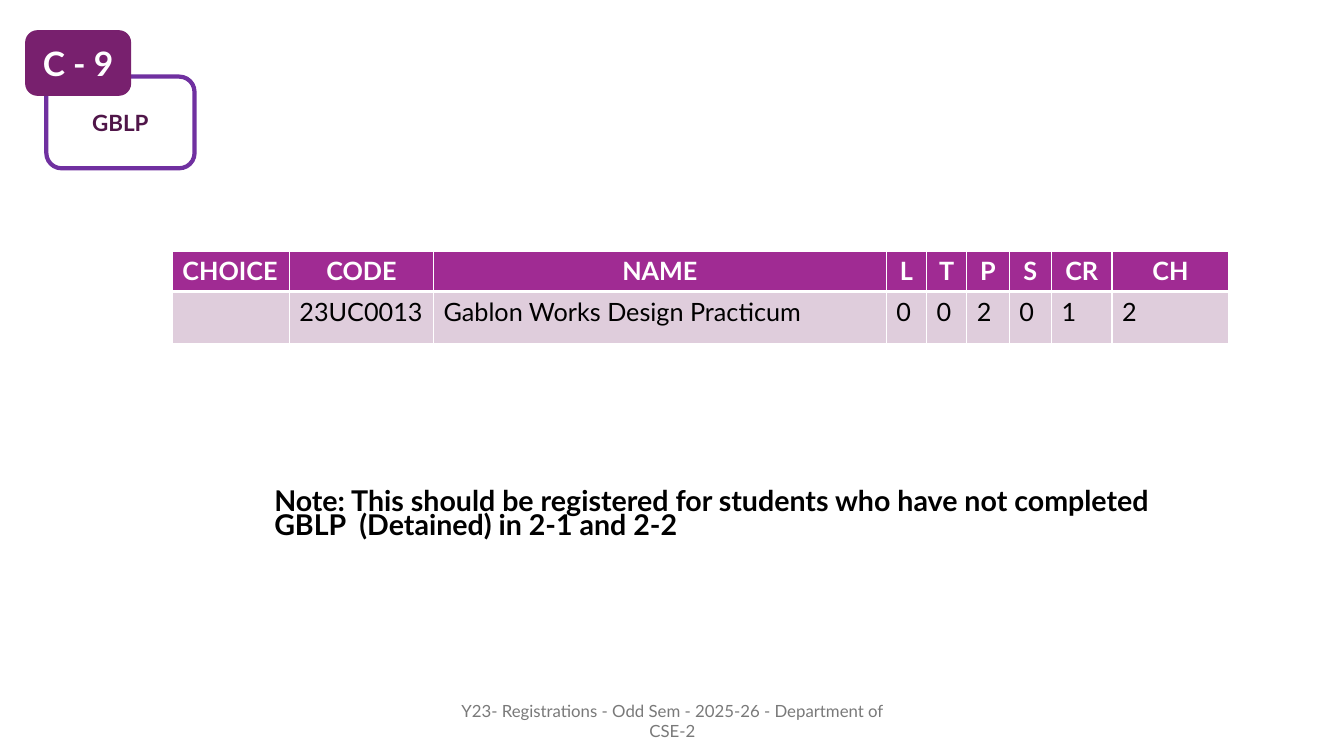
from lxml import etree
from pptx import Presentation
from pptx.dml.color import RGBColor
from pptx.enum.shapes import MSO_SHAPE
from pptx.enum.text import MSO_ANCHOR, MSO_AUTO_SIZE, PP_ALIGN
from pptx.oxml.ns import qn
from pptx.util import Pt

LEFT, CENTER = PP_ALIGN.LEFT, PP_ALIGN.CENTER
MIDDLE, BOTTOM = MSO_ANCHOR.MIDDLE, MSO_ANCHOR.BOTTOM
NO_FIT = MSO_AUTO_SIZE.NONE
ROUND_RECT = MSO_SHAPE.ROUNDED_RECTANGLE
TITLE_ONLY = 5

FONT = "Lato"
PX = 9144  # 100 px to the inch
COLORS = {
    "white": "FFFFFF", "black": "000000", "grey": "797979",
    "outline": "7030A0", "label": "501649", "badge": "78206E",
    "header": "A02B93", "row": "DFCDDC",
}
COLUMNS = [("CHOICE", 116, ""), ("CODE", 143, "23UC0013"),
           ("NAME", 449, "Gablon Works Design Practicum"),
           ("L", 40, "0"), ("T", 40, "0"), ("P", 42, "2"),
           ("S", 42, "0"), ("CR", 60, "1"), ("CH", 116, "2")]
ROW_HEIGHTS = (40, 52)
CELL_MARGIN_RIGHT = 8  # keeps the course code on one line


def px(*lengths):
    return [n * PX for n in lengths]


def rgb(name):
    return RGBColor.from_string(COLORS[name])


def write(tf, text, size=18, color="black", bold=False, align=LEFT, spacing=None):
    p = tf.paragraphs[0]
    p.alignment = align
    p.line_spacing = spacing
    r = p.add_run()
    r.text = text
    r.font.name, r.font.size, r.font.bold = FONT, Pt(size), bold
    r.font.color.rgb = rgb(color)


def set_frame(tf, anchor):
    tf.word_wrap = True
    tf.auto_size = NO_FIT
    tf.vertical_anchor = anchor


def add_card(s, box, fill, line, text, size, color):
    sp = s.shapes.add_shape(ROUND_RECT, *px(*box))
    sp.shadow.inherit = False
    sp.fill.solid()
    sp.fill.fore_color.rgb = rgb(fill)
    sp.line.color.rgb = rgb(line)
    sp.line.width = Pt(3)
    set_frame(sp.text_frame, MIDDLE)
    write(sp.text_frame, text, size, color, bold=True, align=CENTER)


def add_course_tag(s, left, top):
    # The badge overlaps the corner of the outlined card
    add_card(s, (left + 19, top + 44, 147, 91), "white", "outline", "GBLP", 16, "label")
    add_card(s, (left, top, 101, 61), "badge", "badge", "C - 9", 24, "white")


def set_borders(cell, bottom):
    tc_pr = cell._tc.get_or_add_tcPr()
    for i, (side, width) in enumerate((("L", 1), ("R", 1), ("T", 1), ("B", bottom))):
        ln = etree.Element(qn(f"a:ln{side}"), w=str(Pt(width)))
        fill = etree.SubElement(ln, qn("a:solidFill"))
        etree.SubElement(fill, qn("a:srgbClr"), val=COLORS["white"])
        tc_pr.insert(i, ln)


def fill_cell(cell, text, fill, bottom, **fmt):
    cell.fill.solid()
    cell.fill.fore_color.rgb = rgb(fill)
    set_borders(cell, bottom)
    if text:
        write(cell.text_frame, text, **fmt)


def add_course_table(s, left, top):
    width = sum(w for _, w, _ in COLUMNS)
    box = px(left, top, width, sum(ROW_HEIGHTS))
    table = s.shapes.add_table(len(ROW_HEIGHTS), len(COLUMNS), *box).table
    for row, height in zip(table.rows, ROW_HEIGHTS):
        row.height = height * PX
    for i, (heading, w, value) in enumerate(COLUMNS):
        table.columns[i].width = w * PX
        fill_cell(table.cell(0, i), heading, "header", 3, color="white",
                  bold=True, align=CENTER if i else LEFT)
        fill_cell(table.cell(1, i), value, "row", 1)
        table.cell(1, i).margin_right = CELL_MARGIN_RIGHT * PX


def add_note(s, box):
    sp = s.shapes.title
    sp.left, sp.top, sp.width, sp.height = px(*box)
    set_frame(sp.text_frame, BOTTOM)
    write(sp.text_frame, "Note: This should be registered for students who have "
          "not completed GBLP  (Detained) in 2-1 and 2-2",
          size=20.4, bold=True, spacing=0.7)


def add_footer(s, box):
    tf = s.shapes.add_textbox(*px(*box)).text_frame
    set_frame(tf, MIDDLE)
    write(tf, "Y23- Registrations - Odd Sem - 2025-26 - Department of CSE-2",
          size=12, color="grey", align=CENTER)


def main():
    prs = Presentation()
    prs.slide_width, prs.slide_height = px(1333, 750)
    s = prs.slides.add_slide(prs.slide_layouts[TITLE_ONLY])
    add_course_tag(s, 27, 32)
    add_course_table(s, 171, 249)
    add_note(s, (262, 480, 904, 61))
    add_footer(s, (442, 695, 450, 40))
    prs.save("out.pptx")


if __name__ == "__main__":
    main()
